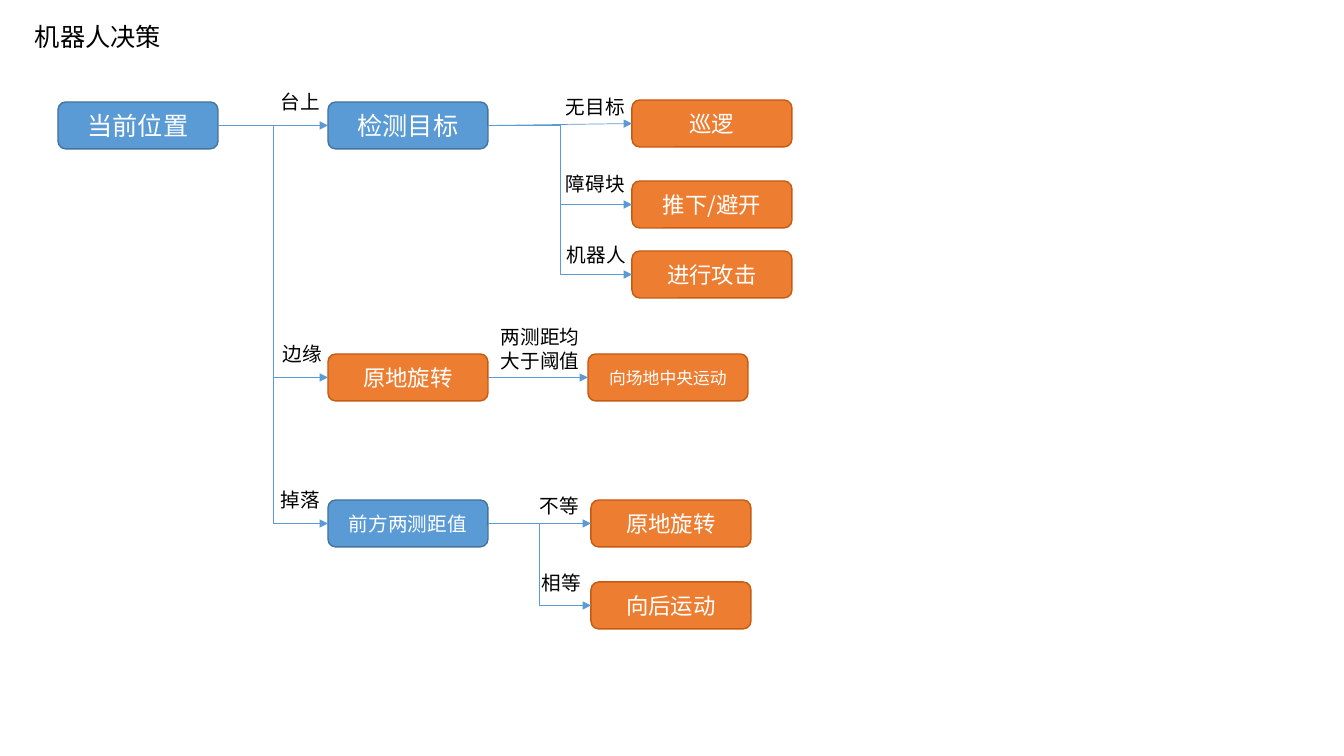
from lxml.etree import SubElement
from pptx import Presentation
from pptx.dml.color import RGBColor
from pptx.enum.shapes import MSO_CONNECTOR as Link, MSO_SHAPE as Preset
from pptx.enum.text import MSO_ANCHOR as Anchor, PP_ALIGN as Align
from pptx.oxml.ns import qn
from pptx.util import Emu, Pt

FONT = "Noto Sans CJK SC"
BLUE = RGBColor(0x5B, 0x9B, 0xD5)
BLUE_EDGE = RGBColor(0x43, 0x73, 0x9E)
ORANGE = RGBColor(0xED, 0x7D, 0x31)
ORANGE_EDGE = RGBColor(0xC5, 0x5A, 0x11)
WHITE = RGBColor(0xFF, 0xFF, 0xFF)
BLACK = RGBColor(0, 0, 0)
CHECK, ACTION = (BLUE, BLUE_EDGE), (ORANGE, ORANGE_EDGE)

NODE_W, NODE_H = 160, 47
LEFT_SITE, RIGHT_SITE = 1, 3


def px(count):
    """Turn pixels into EMU."""
    return Emu(round(count * 914400 / 100.8))


def write(paragraph, words, size, color):
    """Add one run in the slide font."""
    run = paragraph.add_run()
    run.text = words
    run.font.size = Pt(size)
    run.font.name = FONT
    run.font.color.rgb = color
    SubElement(run.font._element, qn("a:ea"), typeface=FONT)


def add_label(slide, words, left, top, width=74, height=34, size=14):
    """Add black text that wraps inside its box."""
    frame = slide.shapes.add_textbox(*map(px, (left, top, width, height))).text_frame
    frame.word_wrap = True
    write(frame.paragraphs[0], words, size, BLACK)


def add_node(slide, words, left, top, size=16, kind=ACTION):
    """Add a rounded step of the decision tree."""
    node = slide.shapes.add_shape(
        Preset.ROUNDED_RECTANGLE, *map(px, (left, top, NODE_W, NODE_H)))
    node.shadow.inherit = False
    node.fill.solid()
    node.fill.fore_color.rgb, node.line.color.rgb = kind
    node.line.width = Pt(1)
    node.text_frame.vertical_anchor = Anchor.MIDDLE
    paragraph = node.text_frame.paragraphs[0]
    paragraph.alignment = Align.CENTER
    write(paragraph, words, size, WHITE)
    return node


def add_arrow(slide, parent, child, link=Link.STRAIGHT):
    """Join the right side of parent to the left side of child."""
    arrow = slide.shapes.add_connector(link, 0, 0, 0, 0)
    arrow.begin_connect(parent, RIGHT_SITE)
    arrow.end_connect(child, LEFT_SITE)
    arrow.line.color.rgb = BLUE
    arrow.line.width = Pt(0.5)
    SubElement(arrow.line._get_or_add_ln(), qn("a:tailEnd"), type="triangle")
    SubElement(arrow._element.spPr, qn("a:effectLst"))


def add_on_stage(slide, left, top):
    """Place target detection and its three responses; return the first node."""
    detect = add_node(slide, "检测目标", left, top, 18, CHECK)
    responses = [("无目标", "巡逻", -2, 228, 94, -10),
                 ("障碍块", "推下/避开", 79, 228, 99, -14),
                 ("机器人", "进行攻击", 149, 229, 91, -13)]
    for target, action, drop, label_x, label_w, label_dy in responses:
        response = add_node(slide, action, left + 304, top + drop)
        add_arrow(slide, detect, response, Link.ELBOW if drop > 0 else Link.STRAIGHT)
        add_label(slide, target, left + label_x, top + drop + label_dy, label_w)
    return detect


def add_edge(slide, left, top):
    """Place the turn at the edge and the move after it; return the turn."""
    turn = add_node(slide, "原地旋转", left, top)
    add_arrow(slide, turn, add_node(slide, "向场地中央运动", left + 260, top, 12))
    add_label(slide, "两测距均大于阈值", left + 163, top - 34, 114, 57)
    return turn


def add_fallen(slide, left, top):
    """Place the comparison of distances and both results; return the comparison."""
    compare = add_node(slide, "前方两测距值", left, top, 14, CHECK)
    results = [("不等", "原地旋转", 0, 202, -11, Link.STRAIGHT),
               ("相等", "向后运动", 82, 204, -16, Link.ELBOW)]
    for outcome, action, drop, label_x, label_dy, link in results:
        add_arrow(slide, compare, add_node(slide, action, left + 263, top + drop), link)
        add_label(slide, outcome, left + label_x, top + drop + label_dy)
    return compare


def add_decision_tree(slide, left, top):
    """Place the starting node and the three branches it leads to."""
    position = add_node(slide, "当前位置", left, top, 18, CHECK)
    branches = [("台上", add_on_stage, 0, 213, Link.STRAIGHT),
                ("边缘", add_edge, 252, 215, Link.ELBOW),
                ("掉落", add_fallen, 398, 213, Link.ELBOW)]
    for place, add_branch, drop, label_x, link in branches:
        branch = add_branch(slide, left + 270, top + drop)
        add_arrow(slide, position, branch, link)
        add_label(slide, place, left + label_x, top + drop - 17)


deck = Presentation()
deck.slide_width, deck.slide_height = px(1344), px(756)
decision = deck.slides.add_slide(deck.slide_layouts[6])
add_label(decision, "机器人决策", 25, 16, 193, 41, 18)
add_decision_tree(decision, 58, 102)
deck.save("out.pptx")
